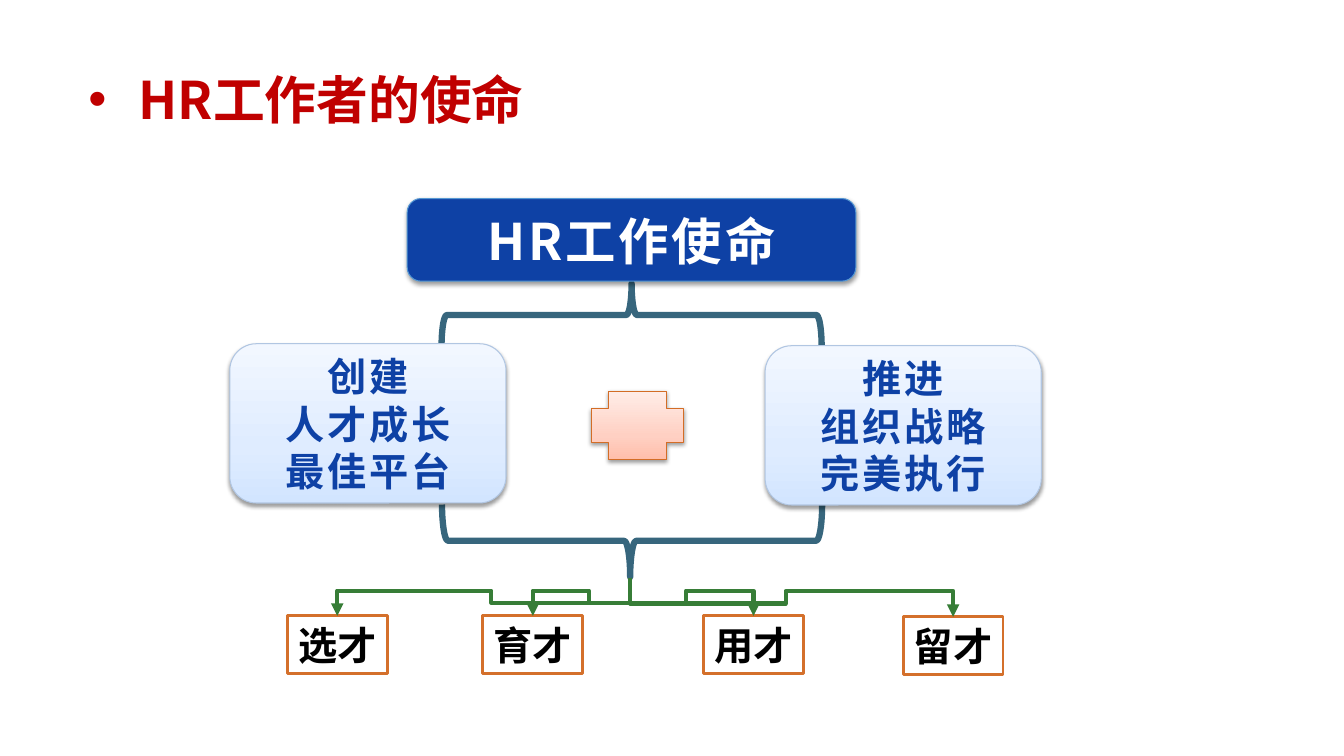
from lxml import etree
from pptx import Presentation
from pptx.dml.color import RGBColor
from pptx.enum.shapes import MSO_CONNECTOR, MSO_SHAPE
from pptx.enum.text import MSO_ANCHOR, PP_ALIGN
from pptx.oxml.ns import qn
from pptx.util import Inches, Pt

ROUNDED = MSO_SHAPE.ROUNDED_RECTANGLE
RECTANGLE = MSO_SHAPE.RECTANGLE
PLUS = MSO_SHAPE.CROSS
BRACE = MSO_SHAPE.LEFT_BRACE
ELBOW = MSO_CONNECTOR.ELBOW
MIDDLE = MSO_ANCHOR.MIDDLE
LEFT, CENTER = PP_ALIGN.LEFT, PP_ALIGN.CENTER

FONT = "Noto Sans CJK SC"
RED, NAVY, WHITE, BLACK = "C00000", "0E41A5", "FFFFFF", "000000"
SKY, CARD_EDGE, ORANGE, TAG_EDGE = "5698D3", "B1C6E2", "D36D26", "D4702B"
TEAL, GREEN = "37667D", "377D37"
BLUE_FADE = ("D2E5FF", "DFECFF", "F2F7FF")
PEACH_FADE = ("FFBEAA", "FFD0C3", "FFEDE8")
FADE_STOPS = (0, 35, 100)


def color(code):
    return RGBColor.from_string(code)


def child(parent, tag, **attributes):
    return etree.SubElement(parent, qn(tag), {k: str(v) for k, v in attributes.items()})


class MissionSlide:
    def __init__(self, deck):
        self.slide = deck.slides.add_slide(deck.slide_layouts[6])
        self.column = deck.slide_width / 100
        self.row = deck.slide_height / 100

    def place(self, x, y, w, h):
        return [round(v) for v in (x * self.column, y * self.row, w * self.column, h * self.row)]

    def add_lines(self, frame, lines, size, ink, align=CENTER, spacing=0, wrap=True,
                  insets=(0.1, 0.05), bullet=None):
        frame.word_wrap = wrap
        frame.vertical_anchor = MIDDLE
        frame.margin_left = frame.margin_right = Inches(insets[0])
        frame.margin_top = frame.margin_bottom = Inches(insets[1])
        for index, line in enumerate(lines):
            paragraph = frame.add_paragraph() if index else frame.paragraphs[0]
            paragraph.alignment = align
            if bullet:
                properties = paragraph._p.get_or_add_pPr()
                properties.set("marL", str(Inches(0.5)))
                properties.set("indent", str(-Inches(0.5)))
                child(properties, "a:buFont", typeface="Arial")
                child(properties, "a:buChar", char=bullet)
            run = paragraph.add_run()
            run.text = line
            run.font.name, run.font.size, run.font.bold = FONT, Pt(size), True
            run.font.color.rgb = color(ink)
            child(run._r.get_or_add_rPr(), "a:ea", typeface=FONT)
            if spacing:
                run._r.get_or_add_rPr().set("spc", str(spacing * 100))

    def heading(self, box, line):
        frame = self.slide.shapes.add_textbox(*self.place(*box)).text_frame
        self.add_lines(frame, [line], 37, RED, LEFT, insets=(0.13, 0.07), bullet="•")

    def block(self, kind, box, fill, edge, width=0.75, raised=True):
        shape = self.slide.shapes.add_shape(kind, *self.place(*box))
        if isinstance(fill, str):
            shape.fill.solid()
            shape.fill.fore_color.rgb = color(fill)
        else:
            self.fade(shape, fill)
        shape.line.color.rgb = color(edge)
        shape.line.width = Pt(width)
        shape.shadow.inherit = False
        if raised:
            effects = shape._element.spPr.find(qn("a:effectLst"))
            shadow = child(effects, "a:outerShdw", blurRad=Pt(3.1), dist=Pt(1.6),
                           dir=90 * 60000, rotWithShape=0)
            child(child(shadow, "a:srgbClr", val=BLACK), "a:alpha", val=38000)
        return shape.text_frame

    def fade(self, shape, shades):
        shape.fill.gradient()
        shape.fill.gradient_angle = 90
        stops = shape._element.spPr.find(qn("a:gradFill")).find(qn("a:gsLst"))
        for stop in list(stops):
            stops.remove(stop)
        for position, shade in zip(FADE_STOPS, shades):
            child(child(stops, "a:gs", pos=position * 1000), "a:srgbClr", val=shade)

    def brace(self, box, rotation, tip):
        x, y, w, h = self.place(*box)
        shape = self.slide.shapes.add_shape(BRACE, x + (w - h) // 2, y + (h - w) // 2, h, w)
        shape.rotation = rotation
        shape.adjustments[0], shape.adjustments[1] = 0.083, tip
        shape.fill.background()
        shape.line.color.rgb = color(TEAL)
        shape.line.width = Pt(4.5)
        shape.shadow.inherit = False

    def branch(self, start, end, bend):
        x1, y1, dx, dy = self.place(*start, end[0] - start[0], end[1] - start[1])
        middle_x, middle_y = x1 + dx // 2, y1 + dy // 2
        near, far = middle_x - dy // 2, middle_x + dy // 2
        top, bottom = middle_y - abs(dx) // 2, middle_y + abs(dx) // 2
        begin, finish = (far, near) if dx > 0 else (near, far)
        arrow = self.slide.shapes.add_connector(ELBOW, begin, top, finish, bottom)
        arrow.line.color.rgb = color(GREEN)
        arrow.line.width = Pt(3)
        properties = arrow._element.spPr
        properties.find(qn("a:xfrm")).set("rot", str((270 if dx > 0 else 90) * 60000))
        geometry = properties.find(qn("a:prstGeom"))
        geometry.set("prst", "bentConnector5")
        guides = geometry.find(qn("a:avLst"))
        for number, share in enumerate((0.657, bend, 0.343), 1):
            child(guides, "a:gd", name=f"adj{number}", fmla=f"val {round(share * 100000)}")
        child(properties.find(qn("a:ln")), "a:tailEnd", type="triangle")
        child(properties, "a:effectLst")


def main():
    deck = Presentation()
    deck.slide_width, deck.slide_height = Inches(13.33), Inches(7.5)
    page = MissionSlide(deck)

    page.heading((5.6, 8, 63.15, 10.1), "HR工作者的使命")
    page.brace((32.85, 37.47, 28.28, 8.4), 90, 0.5)
    page.brace((32.89, 66.73, 28.28, 9.6), 270, 0.495)

    mission = page.block(ROUNDED, (30.3, 26.27, 33.38, 10.93), NAVY, SKY)
    page.add_lines(mission, ["HR工作使命"], 36, WHITE, spacing=2)
    page.block(PLUS, (44.03, 51.73, 6.83, 9.07), PEACH_FADE, ORANGE)

    goals = [
        (17.1, 45.47, ["创建", "人才成长", "最佳平台"]),
        (56.93, 45.73, ["推进", "组织战略", "完美执行"]),
    ]
    for x, y, lines in goals:
        goal = page.block(ROUNDED, (x, y, 20.55, 21.07), BLUE_FADE, CARD_EDGE)
        page.add_lines(goal, lines, 28, NAVY, spacing=2)

    junction = (46.88, 76.4)
    tag_width, tag_height = 7.43, 7.6
    talents = [
        ("选才", 21.38, 81.47, 0.474),
        ("育才", 35.93, 81.47, 0.422),
        ("用才", 52.35, 81.47, 0.453),
        ("留才", 67.2, 81.6, 0.482),
    ]
    for label, x, y, bend in talents:
        tag = page.block(RECTANGLE, (x, y, tag_width, tag_height), WHITE, TAG_EDGE, 2, False)
        page.add_lines(tag, [label], 28, BLACK, wrap=False)
        page.branch(junction, (x + tag_width / 2, y), bend)

    deck.save("out.pptx")


if __name__ == "__main__":
    main()
